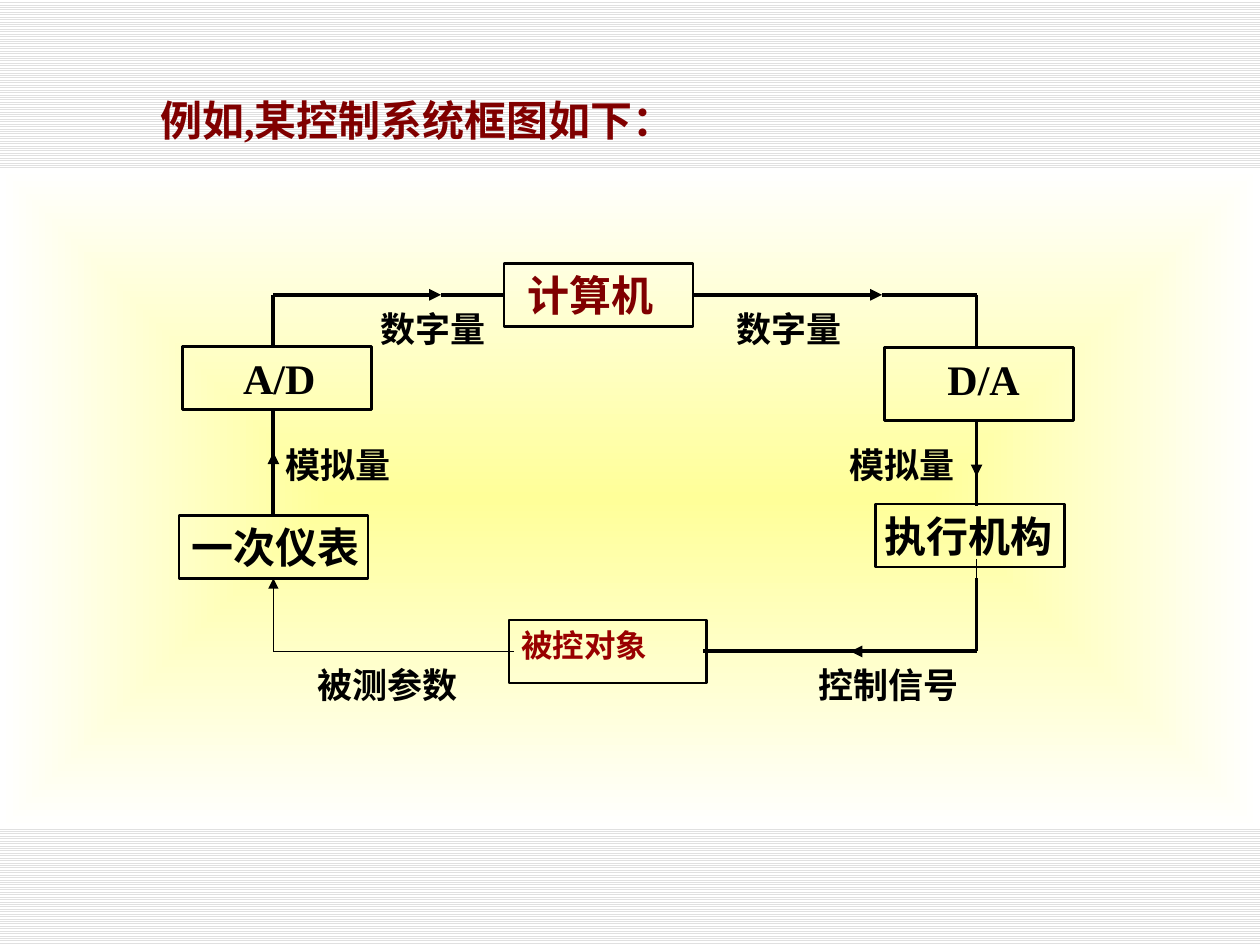
from pptx import Presentation
from pptx.dml.color import RGBColor
from pptx.enum.dml import MSO_PATTERN
from pptx.enum.shapes import MSO_CONNECTOR as Connector, MSO_SHAPE as Shape
from pptx.enum.text import MSO_ANCHOR as Anchor, MSO_AUTO_SIZE as AutoSize, PP_ALIGN as Align
from pptx.oxml import parse_xml
from pptx.oxml.ns import nsdecls, qn
from pptx.util import Inches, Pt

THEME = {
    "serif": "Times New Roman", "narrow": "Arial Narrow",
    "ink": "000000", "maroon": "800000", "red": "990000",
    "stripe": "E0E0E0", "paper": "FFFFFF", "glow": "FFFF99",
    "large": 24, "label": 20, "small": 18,
    "thick": 2.25, "outline": 1.5, "thin": 0.75,
}

TITLE = "例如,某控制系统框图如下："

# text, left, top, width, height, text inset, colour, size, font
BLOCKS = [
    ("计算机", 4, 2.09, 1.5, 0.5, 0.19, "maroon", "large", "serif"),
    ("A/D", 1.45, 2.75, 1.5, 0.5, 0.48, "ink", "large", "serif"),
    ("D/A", 7.02, 2.76, 1.5, 0.58, 0.5, "ink", "large", "serif"),
    ("一次仪表", 1.42, 4.09, 1.5, 0.5, 0.1, "ink", "large", "serif"),
    ("执行机构", 6.95, 4, 1.5, 0.5, 0.07, "ink", "large", "serif"),
    ("被控对象", 4.04, 4.92, 1.57, 0.5, 0.1, "red", "small", "narrow"),
]

# text, left, top
LABELS = [
    ("数字量", 2.92, 2.39), ("数字量", 5.75, 2.39),
    ("模拟量", 2.17, 3.47), ("模拟量", 6.64, 3.47),
    ("被测参数", 2.42, 5.22), ("控制信号", 6.4, 5.22),
]
LABEL_SIZE = (1.6, 0.45)

# Signal path: the left and right columns, the upper and lower rows
LEFT, RIGHT, UPPER, LOWER = 2.17, 7.75, 2.34, 5.17

# start, end, weight, arrow at the end
WIRES = [
    ((LEFT, UPPER), (3.5, UPPER), "thick", True),
    ((3.5, UPPER), (4, UPPER), "thick", False),
    ((5.5, UPPER), (7, UPPER), "thick", True),
    ((7, UPPER), (RIGHT, UPPER), "thick", False),
    ((RIGHT, UPPER), (RIGHT, 2.75), "thick", False),
    ((RIGHT, 3.34), (RIGHT, 3.78), "thick", True),
    ((RIGHT, 3.61), (RIGHT, 4.02), "thick", False),
    ((RIGHT, 4.44), (RIGHT, 4.77), "thin", False),
    ((RIGHT, 4.59), (RIGHT, LOWER), "thick", False),
    ((RIGHT, LOWER), (6.75, LOWER), "thick", True),
    ((6.83, LOWER), (5.58, LOWER), "thick", False),
    ((4.08, LOWER), (LEFT, LOWER), "thin", False),
    ((LEFT, LOWER), (LEFT, 4.59), "thin", True),
    ((LEFT, 4.09), (LEFT, 3.59), "thick", True),
    ((LEFT, 3.67), (LEFT, 3.25), "thick", False),
    ((LEFT, 2.75), (LEFT, UPPER), "thick", False),
]


def colour(name):
    return RGBColor.from_string(THEME[name])


def write(shape, text, tone, size, font="serif", inset=0.1, align=Align.LEFT):
    frame = shape.text_frame
    layout = {
        "word_wrap": False, "auto_size": AutoSize.NONE, "vertical_anchor": Anchor.TOP,
        "margin_left": Inches(inset), "margin_right": 0,
        "margin_top": Inches(0.05), "margin_bottom": Inches(0.05),
    }
    for key, value in layout.items():
        setattr(frame, key, value)
    para = frame.paragraphs[0]
    para.alignment = align
    span = para.add_run()
    span.text = text
    for key, value in {"name": THEME[font], "size": Pt(THEME[size]), "bold": True}.items():
        setattr(span.font, key, value)
    span.font.color.rgb = colour(tone)


def add_panel(page):
    panel = page.shapes.add_shape(Shape.RECTANGLE, 0, Inches(1.33), Inches(10), Inches(5.25))
    panel.shadow.inherit = False
    panel.line.fill.background()
    gradient = parse_xml(
        f'<a:gradFill {nsdecls("a")} rotWithShape="1"><a:gsLst>'
        f'<a:gs pos="0"><a:srgbClr val="{THEME["glow"]}"/></a:gs>'
        f'<a:gs pos="100000"><a:srgbClr val="{THEME["paper"]}"/></a:gs></a:gsLst>'
        '<a:path path="shape"><a:fillToRect l="50000" t="50000" r="50000" b="50000"/></a:path>'
        '</a:gradFill>')
    panel._element.spPr.find(qn("a:prstGeom")).addnext(gradient)


def add_block(page, text, left, top, width, height, inset, tone, size, font):
    box = page.shapes.add_shape(Shape.RECTANGLE, *map(Inches, (left, top, width, height)))
    box.shadow.inherit = False
    box.fill.background()
    box.line.color.rgb = colour("ink")
    box.line.width = Pt(THEME["outline"])
    write(box, text, tone, size, font, inset)


def add_wire(page, start, end, weight, arrow):
    wire = page.shapes.add_connector(Connector.STRAIGHT, *map(Inches, start + end))
    wire.line.color.rgb = colour("ink")
    wire.line.width = Pt(THEME[weight])
    if arrow:
        wire.line._get_or_add_ln().append(
            parse_xml(f'<a:tailEnd {nsdecls("a")} type="triangle"/>'))
    wire._element.spPr.append(parse_xml(f'<a:effectLst {nsdecls("a")}/>'))


def main():
    deck = Presentation()
    deck.slide_width, deck.slide_height = Inches(10), Inches(7.5)
    page = deck.slides.add_slide(deck.slide_layouts[5])

    # Striped background and glowing panel
    backdrop = page.background.fill
    backdrop.patterned()
    backdrop.pattern = MSO_PATTERN.LIGHT_HORIZONTAL
    backdrop.fore_color.rgb = colour("stripe")
    backdrop.back_color.rgb = colour("paper")
    add_panel(page)

    # Title
    title = page.shapes.title
    place = {"left": 1.17, "top": 0.7, "width": 5.9, "height": 0.5}
    for key, value in place.items():
        setattr(title, key, Inches(value))
    write(title, TITLE, "maroon", "large")

    # Diagram
    for wire in WIRES:
        add_wire(page, *wire)
    for block in BLOCKS:
        add_block(page, *block)
    for text, left, top in LABELS:
        label = page.shapes.add_textbox(*map(Inches, (left, top) + LABEL_SIZE))
        write(label, text, "ink", "label")

    deck.save("out.pptx")


if __name__ == "__main__":
    main()
